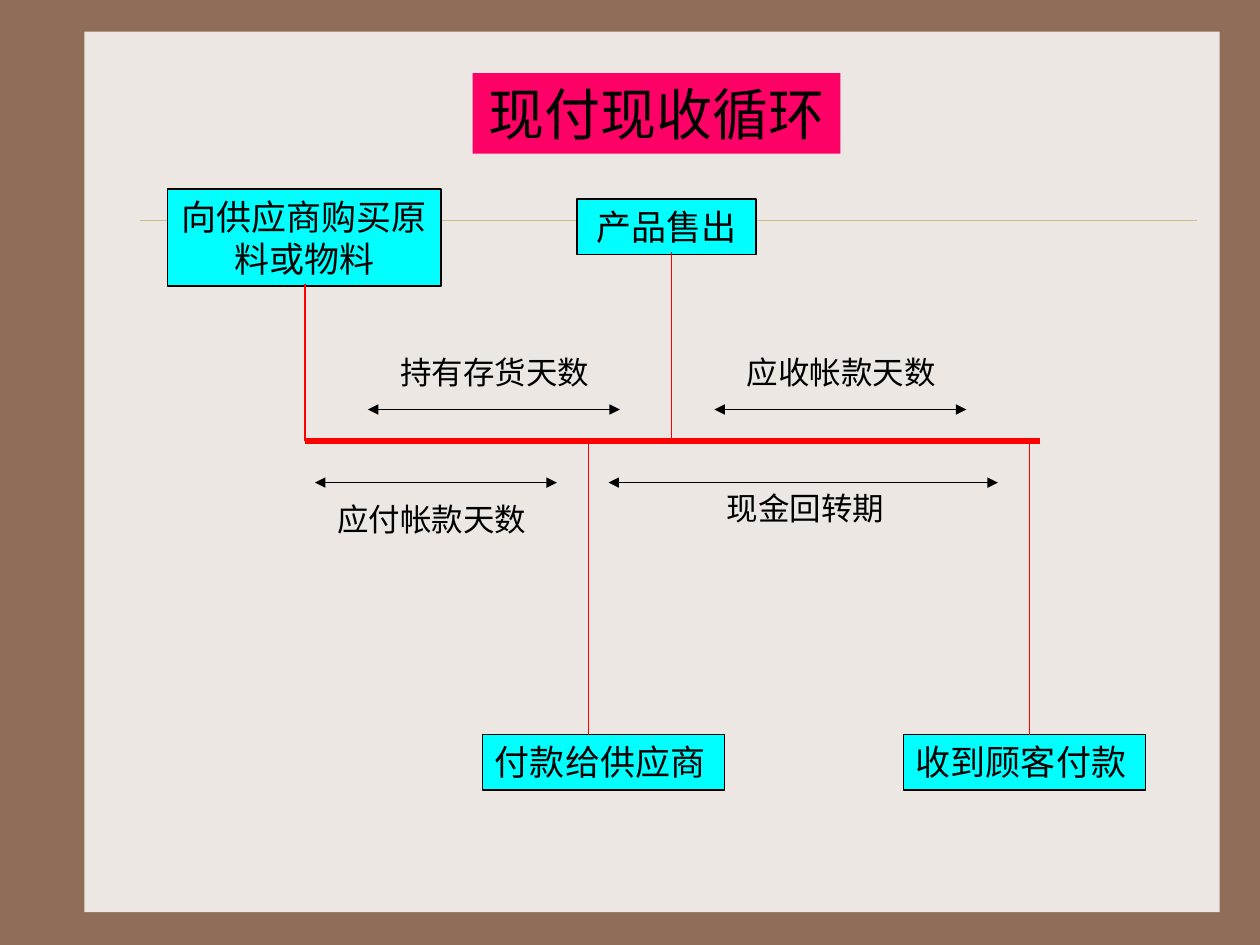
import lxml.etree
import pptx
import pptx.util
import pptx.dml.color
import pptx.enum.shapes
import pptx.enum.text
import pptx.oxml.ns
from pptx.util import Inches

RGB = pptx.dml.color.RGBColor
BROWN = RGB(0x90, 0x6D, 0x58)
CREAM = RGB(0xED, 0xE7, 0xE3)
SAND = RGB(0xCB, 0xBD, 0x83)
PINK = RGB(0xFF, 0x00, 0x66)
CYAN = RGB(0x00, 0xFF, 0xFF)
RED = RGB(0xFF, 0x00, 0x00)
BLACK = RGB(0x00, 0x00, 0x00)
FONT = "Times New Roman"
ALIGN = pptx.enum.text.PP_ALIGN

# Offsets are inches from the left end of the time axis.
# text, box x, y, width, height, align, stem x, stem end y
EVENTS = [
    ("向供应商购买原料或物料", -1.09, -2, 2.17, 0.77, ALIGN.CENTER, 0, -1.25),
    ("产品售出", 2.16, -1.92, 1.42, 0.44, ALIGN.CENTER, 2.91, -1.5),
    ("付款给供应商", 1.41, 2.33, 1.92, 0.44, ALIGN.LEFT, 2.25, 2.33),
    ("收到顾客付款", 4.75, 2.33, 1.92, 0.44, ALIGN.LEFT, 5.75, 2.33),
]
# text, label x, y, width, arrow start x, end x, y
SPANS = [
    ("持有存货天数", 0.66, -0.75, 1.75, 0.5, 2.5, -0.25),
    ("应收帐款天数", 3.41, -0.75, 1.75, 3.25, 5.25, -0.25),
    ("应付帐款天数", 0.16, 0.42, 1.92, 0.08, 2, 0.33),
    ("现金回转期", 3.25, 0.33, 1.5, 2.41, 5.5, 0.33),
]


def write(shape, text, size, align):
    frame = shape.text_frame
    frame.text = text
    frame.word_wrap = True
    frame.auto_size = pptx.enum.text.MSO_AUTO_SIZE.NONE
    frame.vertical_anchor = pptx.enum.text.MSO_ANCHOR.TOP
    para = frame.paragraphs[0]
    para.alignment = align
    para.font.size = pptx.util.Pt(size)
    para.font.name = FONT
    para.font.color.rgb = BLACK


def paint(shape, color):
    shape.fill.solid()
    shape.fill.fore_color.rgb = color


def add_rect(slide, left, top, width, height, color):
    rect = slide.shapes.add_shape(
        pptx.enum.shapes.MSO_SHAPE.RECTANGLE, left, top, width, height)
    rect.shadow.inherit = False
    paint(rect, color)
    rect.line.fill.background()
    return rect


def add_line(slide, start, end, color, weight=0.75, arrows=False):
    line = slide.shapes.add_connector(
        pptx.enum.shapes.MSO_CONNECTOR.STRAIGHT, *start, *end)
    line.line.color.rgb = color
    line.line.width = pptx.util.Pt(weight)
    name = pptx.oxml.ns.qn
    props = line.element.spPr
    if arrows:
        stroke = props.find(name("a:ln"))
        for tag in ("a:headEnd", "a:tailEnd"):
            lxml.etree.SubElement(stroke, name(tag), type="triangle")
    lxml.etree.SubElement(props, name("a:effectLst"))


def add_panel(slide, left, top, width, height):
    add_rect(slide, left, top, width, height, CREAM)
    level = top + Inches(1.5)
    add_line(slide, (left + Inches(0.44), level),
             (left + Inches(8.83), level), SAND, 0.25)


def add_title(slide, left, top, width, height):
    title = slide.shapes.title
    title.left, title.top, title.width, title.height = left, top, width, height
    paint(title, PINK)
    write(title, "现付现收循环", 32, ALIGN.CENTER)
    # Bring the title in front of the panel.
    slide.shapes.element.append(title.element)


def add_cycle(slide, left, level, length):
    """Draw the time axis with its events and the spans between them."""
    def spot(x, y):
        return left + Inches(x), level + Inches(y)

    for text, x, y, width, height, align, *_ in EVENTS:
        box = add_rect(slide, *spot(x, y), Inches(width), Inches(height), CYAN)
        box.line.color.rgb = BLACK
        box.line.width = pptx.util.Pt(0.75)
        write(box, text, 20, align)

    add_line(slide, (left, level), (left + length, level), RED, 3)
    for *_, x, y in EVENTS:
        add_line(slide, spot(x, 0), spot(x, y), RED)

    for text, x, y, width, start, end, height in SPANS:
        label = slide.shapes.add_textbox(
            *spot(x, y), Inches(width), Inches(0.4))
        write(label, text, 18, ALIGN.LEFT)
        add_line(slide, spot(start, height), spot(end, height), BLACK,
                 arrows=True)


def main():
    deck = pptx.Presentation()
    deck.slide_width, deck.slide_height = Inches(10), Inches(7.5)
    slide = deck.slides.add_slide(deck.slide_layouts[5])
    paint(slide.background, BROWN)
    add_panel(slide, Inches(0.67), Inches(0.25), Inches(9.01), Inches(6.99))
    add_title(slide, Inches(3.75), Inches(0.58), Inches(2.92), Inches(0.64))
    add_cycle(slide, Inches(2.42), Inches(3.5), Inches(5.83))
    deck.save("out.pptx")


if __name__ == "__main__":
    main()
